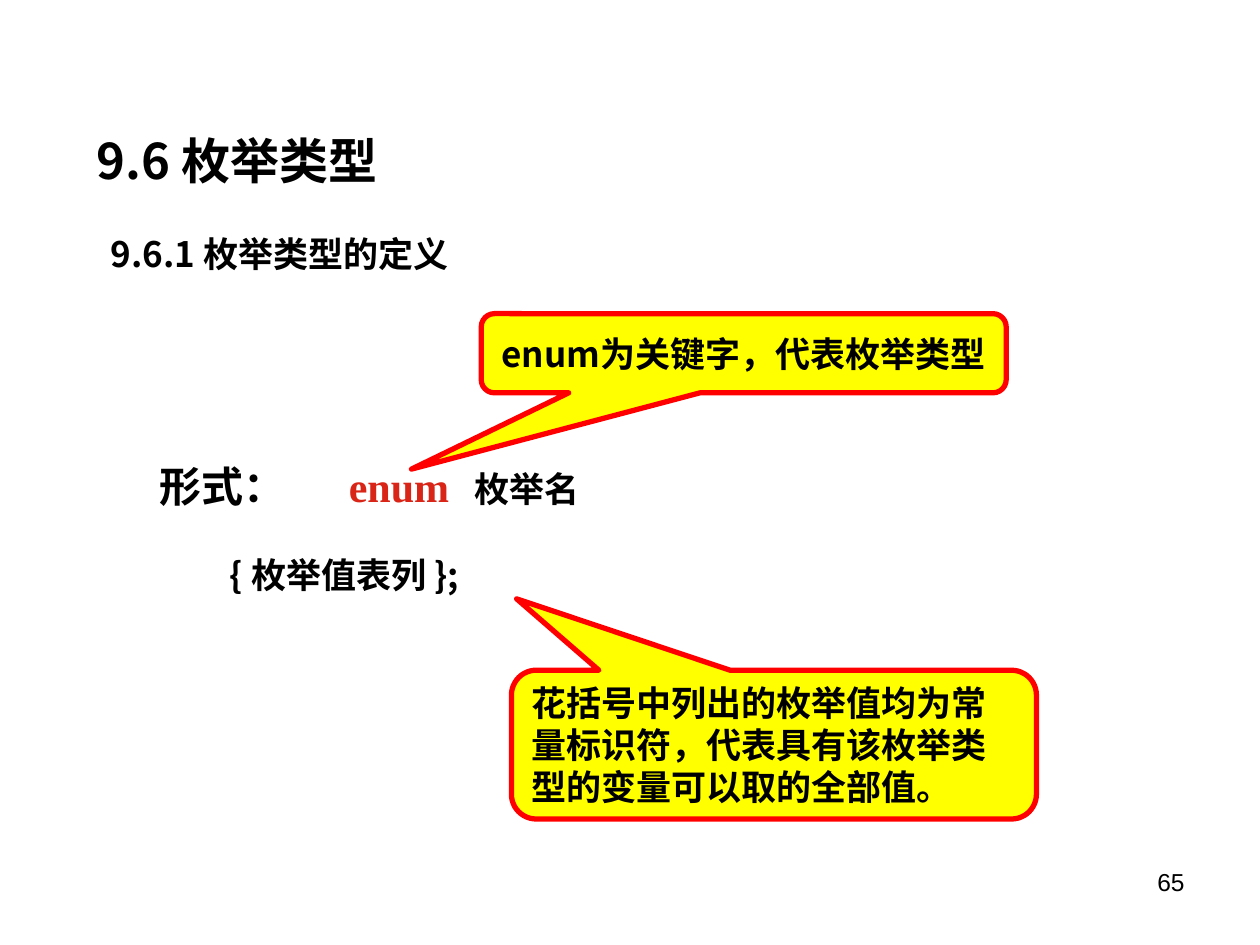
from pptx import Presentation
from pptx.dml.color import RGBColor
from pptx.enum.shapes import MSO_SHAPE as Shape
from pptx.enum.text import MSO_ANCHOR as Anchor, PP_ALIGN as Align
from pptx.oxml.ns import qn
from pptx.util import Pt
from lxml.etree import SubElement

COLORS = {"text": "000000", "keyword": "D92517", "fill": "FFFF00", "line": "FF0000"}
CJK = "Noto Sans CJK SC"

# Each paragraph: its spans (text, format), then its paragraph format.
HEADINGS = [
    ([("9.6 枚举类型", {"size": 28})], {"spacing": 50}),
    ([("9.6.1 枚举类型的定义", {})], {"spacing": 36, "before": 12.5, "indent": 8}),
]
SYNTAX = [
    ([("\t形式：\t", {"size": 24}),
      ("enum\t", {"size": 24, "font": "Times New Roman", "color": "keyword"}),
      ("枚举名", {})], {"spacing": 43, "tabs": (20, 115, 188)}),
    ([("{ 枚举值表列 };", {})], {"spacing": 36, "before": 12.5, "indent": 76}),
]
PAGE_NUMBER = [([("65", {"size": 14, "font": "Arial", "bold": False})],
                {"align": Align.RIGHT})]
TEXT_BOXES = [
    (HEADINGS, (48.25, 54.75, 652, 106.5)),
    (SYNTAX, (48.25, 245.5, 386, 135.5)),
    (PAGE_NUMBER, (516, 492, 168, 37.5)),
]
# Text, place, pointer adjustments, alignment, wrapping
CALLOUTS = [
    ("enum为关键字，代表枚举类型", (275, 179.25, 300, 45.25),
     (-0.633, 1.464, 0.167), Align.CENTER, False),
    ("花括号中列出的枚举值均为常量标识符，代表具有该枚举类型的变量可以取的全部值。",
     (292.25, 383, 300, 85), (-0.49, -0.98, 0.167), Align.LEFT, True),
]


def rgb(name):
    return RGBColor.from_string(COLORS[name])


def add_span(para, text, size=20, font=CJK, color="text", bold=True):
    span = para.add_run()
    span.text = text
    span.font.size = Pt(size)
    span.font.bold = bold
    span.font.name = font
    span.font.color.rgb = rgb(color)
    SubElement(span.font._element, qn("a:ea"), typeface=CJK)


def format_para(para, align=Align.LEFT, spacing=None, before=0, indent=0, tabs=()):
    para.alignment = align
    para.space_before = Pt(before)
    if spacing:
        para.line_spacing = Pt(spacing)
    props = para._p.get_or_add_pPr()
    props.set("marL", str(Pt(indent)))
    props.set("indent", "0")
    if tabs:
        stops = SubElement(props, qn("a:tabLst"))
        for stop in tabs:
            SubElement(stops, qn("a:tab"), pos=str(Pt(stop)), algn="l")


def fill_frame(frame, paragraphs, wrap=True, anchor=Anchor.TOP):
    frame.word_wrap = wrap
    frame.vertical_anchor = anchor
    for number, (spans, layout) in enumerate(paragraphs):
        para = frame.add_paragraph() if number else frame.paragraphs[0]
        format_para(para, **layout)
        for text, style in spans:
            add_span(para, text, **style)


def add_callout(page, text, place, adjustments, align, wrap):
    box = page.shapes.add_shape(Shape.ROUNDED_RECTANGULAR_CALLOUT, *map(Pt, place))
    for number, value in enumerate(adjustments):
        box.adjustments[number] = value
    box.shadow.inherit = False
    box.fill.solid()
    box.fill.fore_color.rgb = rgb("fill")
    box.line.color.rgb = rgb("line")
    box.line.width = Pt(3)
    fill_frame(box.text_frame, [([(text, {})], {"align": align, "spacing": 24})],
               wrap, Anchor.MIDDLE)


def main():
    deck = Presentation()
    deck.slide_width, deck.slide_height = Pt(720), Pt(540)
    page = deck.slides.add_slide(deck.slide_layouts[6])
    for paragraphs, place in TEXT_BOXES:
        box = page.shapes.add_textbox(*map(Pt, place))
        fill_frame(box.text_frame, paragraphs)
    for callout in CALLOUTS:
        add_callout(page, *callout)
    deck.save("out.pptx")


if __name__ == "__main__":
    main()
